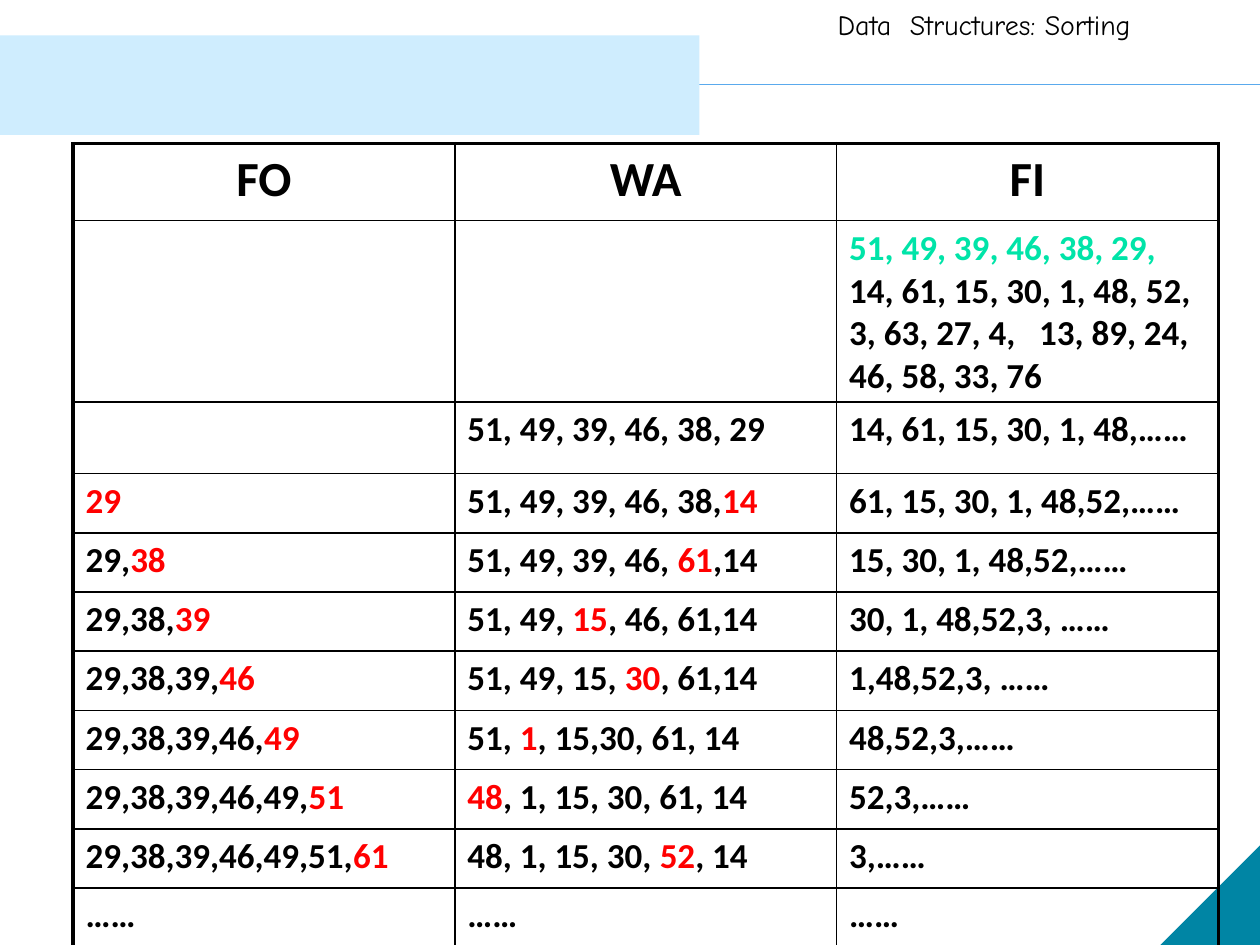
from dataclasses import dataclass

from lxml import etree
from pptx import Presentation
from pptx.dml.color import RGBColor
from pptx.enum.shapes import MSO_CONNECTOR, MSO_SHAPE
from pptx.enum.text import MSO_AUTO_SIZE, PP_ALIGN
from pptx.oxml.ns import qn
from pptx.util import Emu, Pt

PX = 9144  # 100 px to the inch
RECT, TRIANGLE = MSO_SHAPE.RECTANGLE, MSO_SHAPE.RIGHT_TRIANGLE
STRAIGHT = MSO_CONNECTOR.STRAIGHT
LEFT, CENTER = PP_ALIGN.LEFT, PP_ALIGN.CENTER
GROW = MSO_AUTO_SIZE.SHAPE_TO_FIT_TEXT

BLACK = RGBColor(0x00, 0x00, 0x00)
RED = RGBColor(0xFF, 0x00, 0x00)
GREEN = RGBColor(0x00, 0xE4, 0xA8)
TEAL = RGBColor(0x00, 0x85, 0xA4)
BLUE = RGBColor(0x5A, 0xAA, 0xED)
PALE_BLUE = RGBColor(0xCF, 0xED, 0xFE)

OUTER_PT, INNER_PT = 2.25, 1
COLUMN_WIDTH = 303
STEP_HEIGHT = 47


@dataclass
class Box:
    left: int
    top: int
    width: int
    height: int

    def emu(self) -> list[Emu]:
        return [Emu(v * PX) for v in (self.left, self.top, self.width, self.height)]


@dataclass
class Row:
    """One table row; text between bars takes the accent colour."""
    cells: tuple[str, str, str]
    height: int = STEP_HEIGHT
    size: int = 20
    align: PP_ALIGN = LEFT
    accent: RGBColor = RED


ROWS = [
    Row(("FO", "WA", "FI"), height=61, size=28, align=CENTER),
    Row(("", "", "|51, 49, 39, 46, 38, 29,| 14, 61, 15, 30, 1, 48, 52, "
                 "3, 63, 27, 4,   13, 89, 24, 46, 58, 33, 76"),
        height=144, accent=GREEN),
    Row(("", "51, 49, 39, 46, 38, 29", "14, 61, 15, 30, 1, 48,……"), height=57),
    Row(("|29|", "51, 49, 39, 46, 38,|14|", "61, 15, 30, 1, 48,52,……")),
    Row(("29,|38|", "51, 49, 39, 46, |61|,14", "15, 30, 1, 48,52,……")),
    Row(("29,38,|39|", "51, 49, |15|, 46, 61,14", "30, 1, 48,52,3, ……")),
    Row(("29,38,39,|46|", "51, 49, 15, |30|, 61,14", "1,48,52,3, ……")),
    Row(("29,38,39,46,|49|", "51, |1|, 15,30, 61, 14", "48,52,3,……")),
    Row(("29,38,39,46,49,|51|", "|48|, 1, 15, 30, 61, 14", "52,3,……")),
    Row(("29,38,39,46,49,51,|61|", "48, 1, 15, 30, |52|, 14", "3,……")),
    Row(("……", "……", "……")),
]


def add_run(p, text: str, color: RGBColor, **font_values) -> None:
    r = p.add_run()
    r.text = text
    for name, value in font_values.items():
        setattr(r.font, name, value)
    r.font.color.rgb = color


def add_block(slide, kind: MSO_SHAPE, box: Box, color: RGBColor):
    sp = slide.shapes.add_shape(kind, *box.emu())
    sp.shadow.inherit = False
    sp.fill.solid()
    sp.fill.fore_color.rgb = color
    sp.line.fill.background()
    return sp


def add_rule(slide, y: int, width: int) -> None:
    line = slide.shapes.add_connector(STRAIGHT, 0, Emu(y * PX), Emu(width * PX), Emu(y * PX))
    line.line.color.rgb = BLUE
    line.line.width = Pt(1)
    etree.SubElement(line._element.spPr, qn("a:effectLst"))


def add_course_title(slide, box: Box, text: str) -> None:
    tf = slide.shapes.add_textbox(*box.emu()).text_frame
    tf.word_wrap = True
    tf.auto_size = GROW
    add_run(tf.paragraphs[0], text, BLACK, size=Pt(16), name="Comic Neue")


def set_borders(cell, widths: dict[str, float]) -> None:
    tc_pr = cell._tc.get_or_add_tcPr()
    for side, width in widths.items():
        ln = etree.SubElement(tc_pr, qn(f"a:{side}"), w=str(Pt(width)))
        fill = etree.SubElement(ln, qn("a:solidFill"))
        etree.SubElement(fill, qn("a:srgbClr"), val=str(BLACK))


def fill_cell(cell, text: str, row: Row) -> None:
    p = cell.text_frame.paragraphs[0]
    p.alignment = row.align
    for i, part in enumerate(text.split("|")):
        if part:
            add_run(p, part, row.accent if i % 2 else BLACK,
                    size=Pt(row.size), name="Calibri", bold=True)


def add_sorting_table(slide, left: int, top: int, rows: list[Row]) -> None:
    n_cols = len(rows[0].cells)
    box = Box(left, top, n_cols * COLUMN_WIDTH, sum(row.height for row in rows))
    table = slide.shapes.add_table(len(rows), n_cols, *box.emu()).table
    table.first_row = table.horz_banding = False
    for column in table.columns:
        column.width = Emu(COLUMN_WIDTH * PX)
    for i, row in enumerate(rows):
        table.rows[i].height = Emu(row.height * PX)
        for j, text in enumerate(row.cells):
            cell = table.cell(i, j)
            on_edge = {"lnL": j == 0, "lnR": j == n_cols - 1,
                       "lnT": i == 0, "lnB": i == len(rows) - 1}
            set_borders(cell, {side: OUTER_PT if edge else INNER_PT
                               for side, edge in on_edge.items()})
            cell.fill.background()
            fill_cell(cell, text, row)


def main() -> None:
    prs = Presentation()
    prs.slide_width, prs.slide_height = Emu(1000 * PX), Emu(750 * PX)
    slide = prs.slides.add_slide(prs.slide_layouts[6])

    # Page frame
    add_rule(slide, 67, 1000)
    corner = add_block(slide, TRIANGLE, Box(921, 671, 79, 79), TEAL)
    corner._element.spPr.xfrm.set("flipH", "1")
    add_course_title(slide, Box(655, 1, 345, 37), "Data  Structures: Sorting")
    add_block(slide, RECT, Box(0, 28, 555, 79), PALE_BLUE)

    # Replacement selection steps
    add_sorting_table(slide, 58, 114, ROWS)

    prs.save("out.pptx")


if __name__ == "__main__":
    main()
